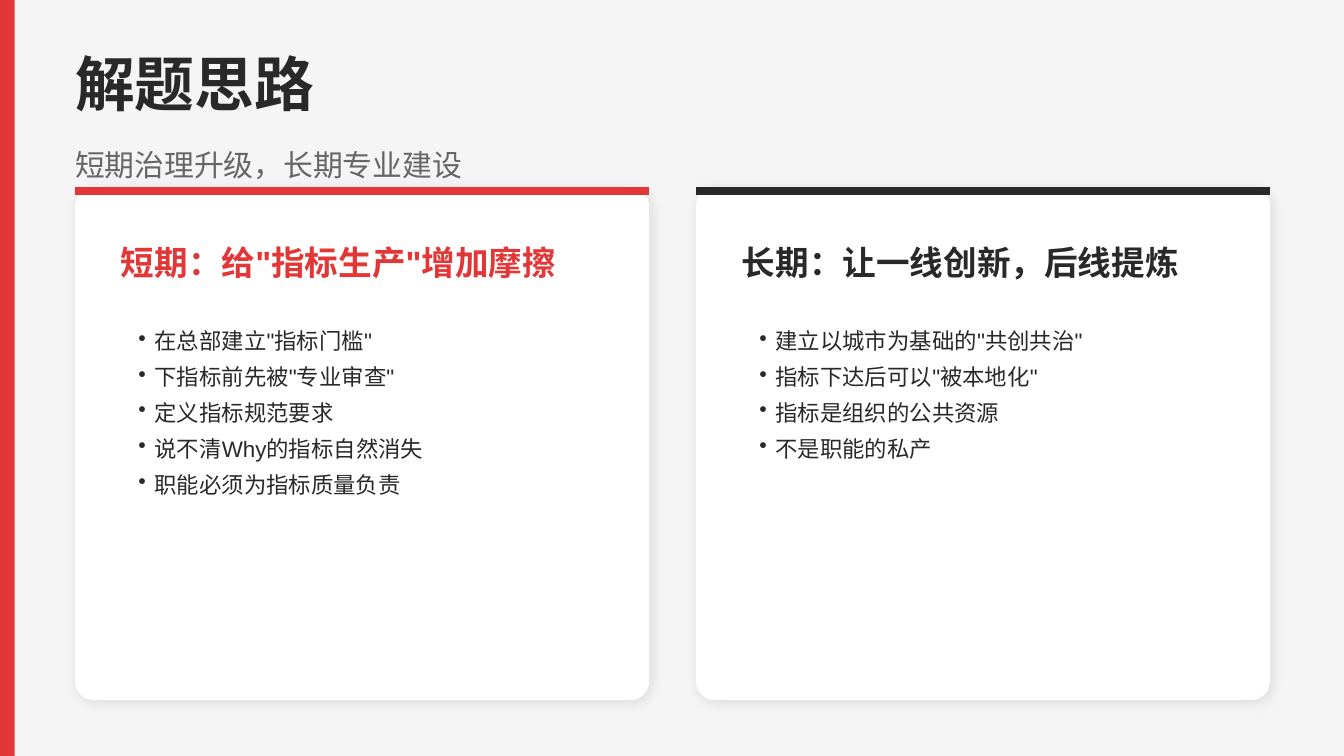
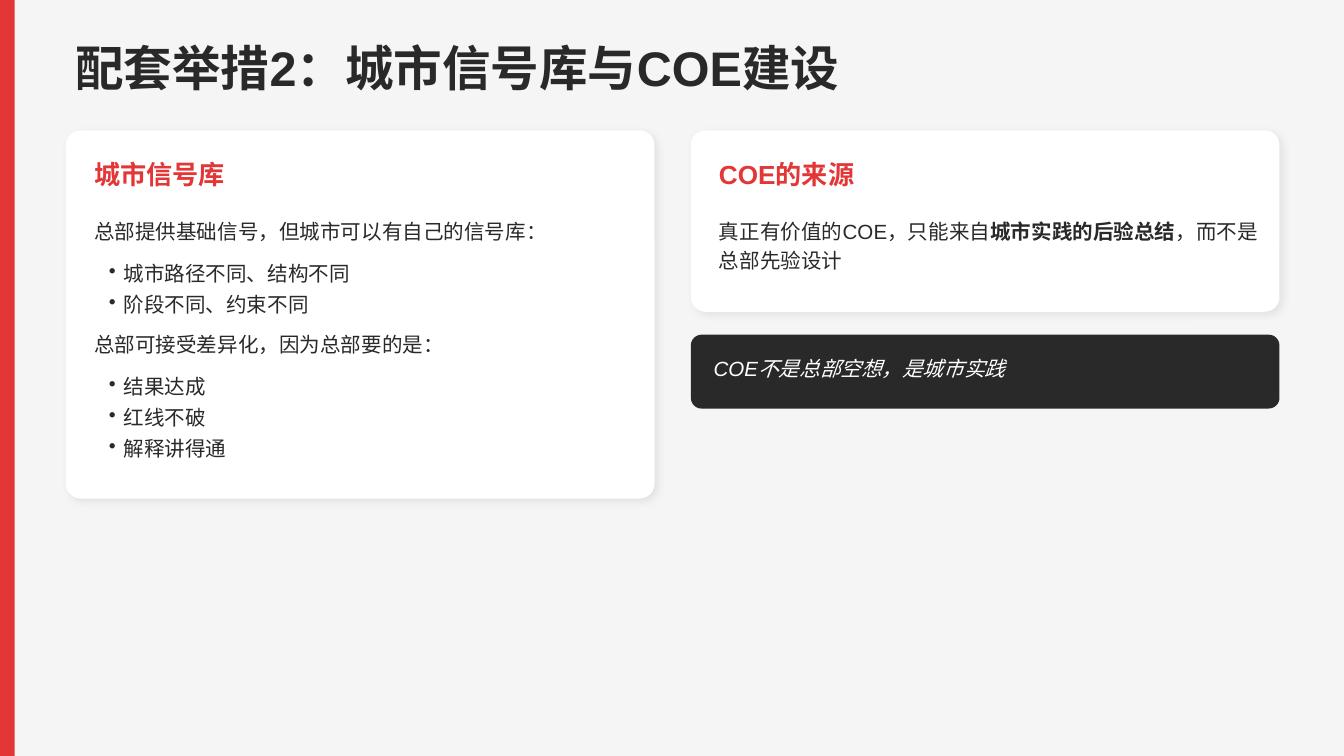
from lxml import etree
from pptx import Presentation
from pptx.dml.color import RGBColor
from pptx.enum.shapes import MSO_CONNECTOR as LINE, MSO_SHAPE as SHAPE
from pptx.oxml.ns import qn
from pptx.util import Inches, Pt

RED, DARK, GREY, WHITE, PALE = "E33737", "292929", "666666", "FFFFFF", "F5F5F5"
FONT = "Arial"
WIDE = 10
HIGH = WIDE * 9 / 16
EDGE = 0.56


def paint(target, color):
    target.solid()
    target.fore_color.rgb = RGBColor.from_string(color)


def sub(parent, tag, **attrs):
    return etree.SubElement(parent, qn(tag), {k: str(v) for k, v in attrs.items()})


def text(slide, box, paras, size=11, color=DARK, bold=False, italic=False,
         lead=None, before=None, after=None, bullet=0):
    """Each paragraph is a string or a list of (string, bold) runs; bullet is the indent."""
    shape = slide.shapes.add_textbox(*map(Inches, box))
    frame = shape.text_frame
    frame.word_wrap = True
    frame.margin_left = Inches(bullet)
    frame.margin_top = frame.margin_right = frame.margin_bottom = 0
    for i, item in enumerate(paras):
        para = frame.paragraphs[0] if i == 0 else frame.add_paragraph()
        if lead:
            para.line_spacing = Pt(lead)
        if before:
            para.space_before = Pt(before)
        if after:
            para.space_after = Pt(after)
        if bullet:
            props = para._p.get_or_add_pPr()
            props.set("marL", str(Inches(bullet)))
            props.set("indent", str(-Inches(bullet)))
            sub(props, "a:buSzPct", val=100000)
            sub(props, "a:buChar", char="•")
        for words, strong in [(item, bold)] if isinstance(item, str) else item:
            run = para.add_run()
            run.text = words
            font = run.font
            font.name, font.size = FONT, Pt(size)
            font.bold, font.italic = strong, italic
            font.color.rgb = RGBColor.from_string(color)
            for script in ("a:ea", "a:cs"):
                sub(run._r.rPr, script, typeface=FONT)


def block(slide, box, color, radius=0, shade=None):
    """Filled box; shade is (opacity percent, blur points)."""
    kind = SHAPE.ROUNDED_RECTANGLE if radius else SHAPE.RECTANGLE
    shape = slide.shapes.add_shape(kind, *map(Inches, box))
    if radius:
        shape.adjustments[0] = radius / min(box[2:])
    paint(shape.fill, color)
    shape.line.fill.background()
    shape.shadow.inherit = False
    if shade:
        alpha, blur = shade
        effects = shape._element.spPr.find(qn("a:effectLst"))
        shadow = sub(effects, "a:outerShdw", blurRad=Pt(blur), dist=Pt(2.1),
                     dir=45 * 60000, algn="bl", rotWithShape=0)
        tint = sub(shadow, "a:srgbClr", val="000000")
        sub(tint, "a:alpha", val=alpha * 1000)


def rule(slide, x, y, width, color):
    line = slide.shapes.add_connector(LINE.STRAIGHT, *map(Inches, (x, y, x + width, y)))
    line.line.width = Pt(4.5)
    paint(line.line.fill, color)
    sub(line._element.spPr, "a:effectLst")


def page(deck, title, top, height, size):
    slide = deck.slides.add_slide(deck.slide_layouts[6])
    paint(slide.background.fill, PALE)
    block(slide, (0, 0, 0.11, HIGH), RED)
    text(slide, (EDGE, top, 9.07, height), [title], size=size, bold=True)
    return slide


def column(slide, box, color, head, items):
    """Tall card with a coloured top edge."""
    x, y, width, _ = box
    block(slide, box, WHITE, radius=0.14, shade=(10, 7.5))
    rule(slide, x, y + 0.03, width, color)
    text(slide, (x + 0.34, y + 0.41, 3.65, 0.36), [head],
         size=18, color=color, bold=True, after=15)
    text(slide, (x + 0.35, y + 0.98, 3.58, 0.27 * len(items)), items,
         size=12, lead=19.2, bullet=0.12)


def card(slide, box, head, parts):
    """Card with (paragraph, line count, bullets) parts stacked under a red heading."""
    x, y, width, _ = box
    left, top = x + 0.21, y + 0.63
    block(slide, box, WHITE, radius=0.11, shade=(8, 4.5))
    text(slide, (left, y + 0.21, width - 0.34, 0.28), [head],
         size=14, color=RED, bold=True, after=10)
    for para, lines, items in parts:
        tall = 0.215 * lines
        text(slide, (left, top, width - 0.34, tall), [para], lead=15.4, after=6)
        top += tall + 0.085
        if items:
            tall = 0.23 * len(items)
            text(slide, (left, top, width - 0.42, tall), items, lead=16.5, bullet=0.11)
            top += tall + 0.08


def quote(slide, box, words):
    x, y, width, height = box
    block(slide, box, DARK, radius=0.08)
    text(slide, (x + 0.17, y + 0.16, width - 0.26, height - 0.33), [words],
         color=WHITE, italic=True)


def ideas(deck):
    slide = page(deck, "解题思路", 0.35, 0.64, 32)
    text(slide, (EDGE, 1.09, 9.07, 0.32), ["短期治理升级，长期专业建设"],
         size=16, color=GREY, before=8)
    columns = [
        (RED, '短期：给"指标生产"增加摩擦',
         ['在总部建立"指标门槛"', '下指标前先被"专业审查"', "定义指标规范要求",
          "说不清Why的指标自然消失", "职能必须为指标质量负责"]),
        (DARK, "长期：让一线创新，后线提炼",
         ['建立以城市为基础的"共创共治"', '指标下达后可以"被本地化"',
          "指标是组织的公共资源", "不是职能的私产"]),
    ]
    width, gap = 4.27, 0.35
    for i, parts in enumerate(columns):
        column(slide, (EDGE + i * (width + gap), 1.39, width, 3.82), *parts)


def measures(deck):
    slide = page(deck, "配套举措2：城市信号库与COE建设", 0.28, 0.52, 26)
    left, right, top, width = 0.49, 5.14, 0.97, 4.38
    card(slide, (left, top, width, 2.74), "城市信号库", [
        ("总部提供基础信号，但城市可以有自己的信号库：", 1,
         ["城市路径不同、结构不同", "阶段不同、约束不同"]),
        ("总部可接受差异化，因为总部要的是：", 1,
         ["结果达成", "红线不破", "解释讲得通"]),
    ])
    source = [("真正有价值的COE，只能来自", False), ("城市实践的后验总结", True),
              ("，而不是总部先验设计", False)]
    card(slide, (right, top, width, 1.35), "COE的来源", [(source, 2, [])])
    quote(slide, (right, 2.49, width, 0.55), "COE不是总部空想，是城市实践")


def main():
    deck = Presentation()
    deck.slide_width, deck.slide_height = Inches(WIDE), Inches(HIGH)
    ideas(deck)
    measures(deck)
    deck.save("out.pptx")


if __name__ == "__main__":
    main()
